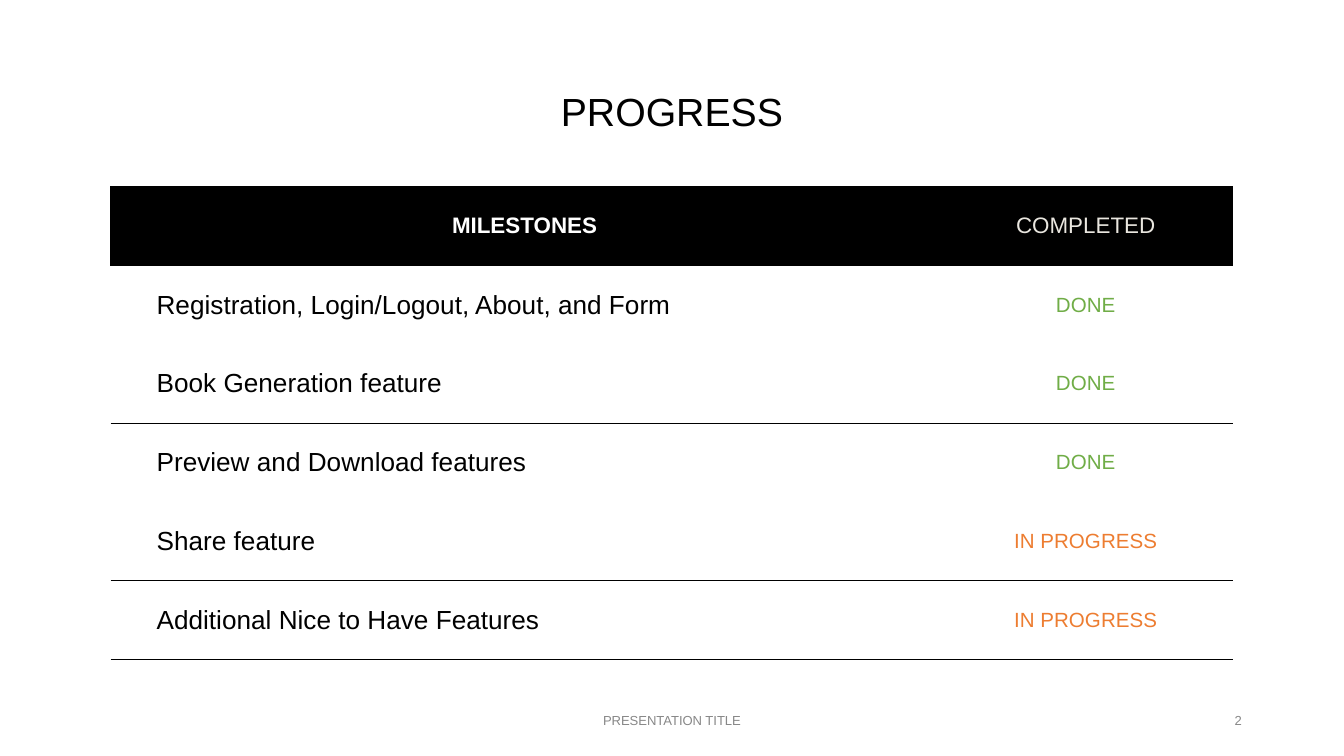
"""Build the milestone progress slide."""
from dataclasses import dataclass

from lxml.etree import SubElement
from pptx import Presentation
from pptx.dml.color import RGBColor
from pptx.enum.text import MSO_ANCHOR as Anchor, PP_ALIGN as Align
from pptx.oxml.ns import qn
from pptx.util import Cm, Pt


@dataclass(frozen=True)
class Theme:
    font: str = "Arial"
    black: str = "000000"
    white: str = "FFFFFF"
    cream: str = "E9E6DF"
    green: str = "70AD47"
    orange: str = "ED7D31"
    grey: str = "888888"
    title_size: float = 21
    header_size: float = 12
    milestone_size: float = 14
    status_size: float = 11
    footer_size: float = 7
    rule_width: float = 0.75


theme = Theme()


def write(frame, text, size, color, align, bold=False):
    frame.text = text
    para = frame.paragraphs[0]
    para.alignment = align
    span = para.runs[0]
    span.font.name = theme.font
    span.font.size = Pt(size)
    span.font.bold = bold
    span.font.color.rgb = RGBColor.from_string(color)


def add_borders(cell, edges):
    properties = cell._tc.get_or_add_tcPr()
    for edge in edges:
        line = SubElement(properties, qn(f"a:ln{edge}"), w=str(Pt(theme.rule_width)))
        fill = SubElement(line, qn("a:solidFill"))
        SubElement(fill, qn("a:srgbClr"), val=theme.black)


deck = Presentation()
deck.slide_width, deck.slide_height = Cm(25.4), Cm(14.29)
page = deck.slides.add_slide(deck.slide_layouts[5])

title = page.shapes.title
title.left, title.top, title.width, title.height = Cm(1.75), Cm(0.76), Cm(21.9), Cm(2.77)
title.text_frame.vertical_anchor = Anchor.MIDDLE
write(title.text_frame, "PROGRESS", theme.title_size, theme.black, Align.CENTER)
title.text_frame.paragraphs[0].line_spacing = 0.9

milestones = [
    ("Registration, Login/Logout, About, and Form", "DONE"),
    ("Book Generation feature", "DONE"),
    ("Preview and Download features", "DONE"),
    ("Share feature", "IN PROGRESS"),
    ("Additional Nice to Have Features", "IN PROGRESS"),
]
status_colors = {"DONE": theme.green, "IN PROGRESS": theme.orange}
ruled_rows = {2, 4, 5}
column_widths = [Cm(15.65), Cm(5.56)]
row_height = Cm(1.49)
row_count = len(milestones) + 1

table_frame = page.shapes.add_table(
    row_count, 2, Cm(2.09), Cm(3.53), sum(column_widths), row_height * row_count
)
table = table_frame.table
table.first_row = table.horz_banding = False
for style in table_frame.element.iter(qn("a:tableStyleId")):
    style.text = "{2D5ABB26-0587-4C30-8999-92F81FD0307C}"
for column, width in zip(table.columns, column_widths):
    column.width = width
for row in table.rows:
    row.height = row_height

headings = [("MILESTONES", theme.white, True, "LTB"), ("COMPLETED", theme.cream, False, "RTB")]
for column, (heading, color, bold, edges) in enumerate(headings):
    cell = table.cell(0, column)
    add_borders(cell, edges)
    cell.fill.solid()
    cell.fill.fore_color.rgb = RGBColor.from_string(theme.black)
    cell.vertical_anchor = Anchor.MIDDLE
    write(cell.text_frame, heading, theme.header_size, color, Align.CENTER, bold)

for row, (milestone, status) in enumerate(milestones, start=1):
    name_cell, status_cell = table.cell(row, 0), table.cell(row, 1)
    for cell in (name_cell, status_cell):
        if row in ruled_rows:
            add_borders(cell, "B")
        cell.fill.background()
        cell.vertical_anchor = Anchor.MIDDLE
    name_cell.margin_left = Cm(0.87)
    write(name_cell.text_frame, milestone, theme.milestone_size, theme.black, Align.LEFT)
    write(status_cell.text_frame, status, theme.status_size, status_colors[status], Align.CENTER)

footers = [
    ("PRESENTATION TITLE", Cm(8.41), Cm(8.58), Align.CENTER),
    ("2", Cm(17.93), Cm(5.72), Align.RIGHT),
]
for text, left, width, align in footers:
    box = page.shapes.add_textbox(left, Cm(13.24), width, Cm(0.76))
    frame = box.text_frame
    frame.word_wrap = True
    frame.vertical_anchor = Anchor.MIDDLE
    frame.margin_left = frame.margin_right = Cm(0.18)
    frame.margin_top = frame.margin_bottom = Cm(0.1)
    write(frame, text, theme.footer_size, theme.grey, align)

deck.save("out.pptx")
